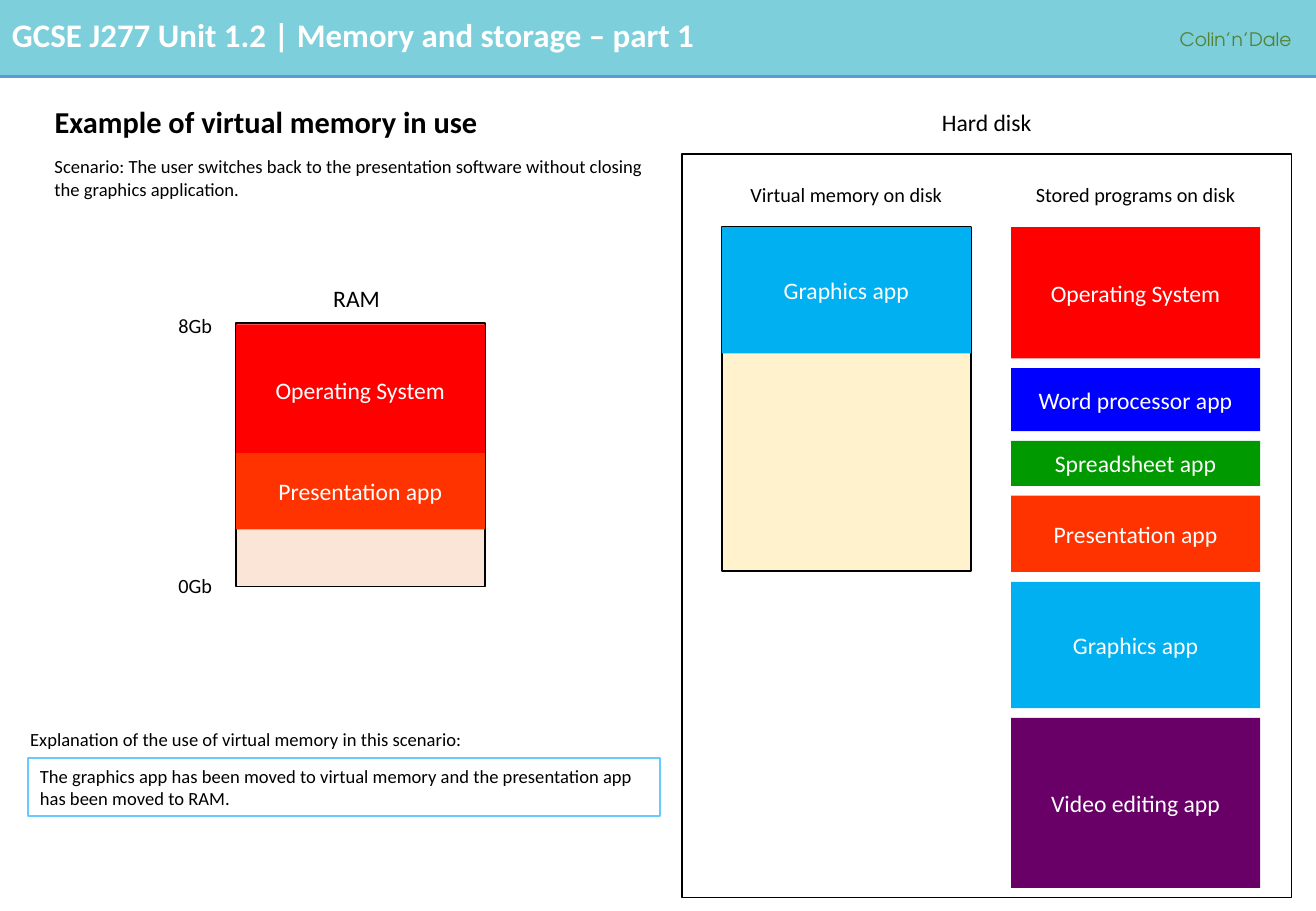
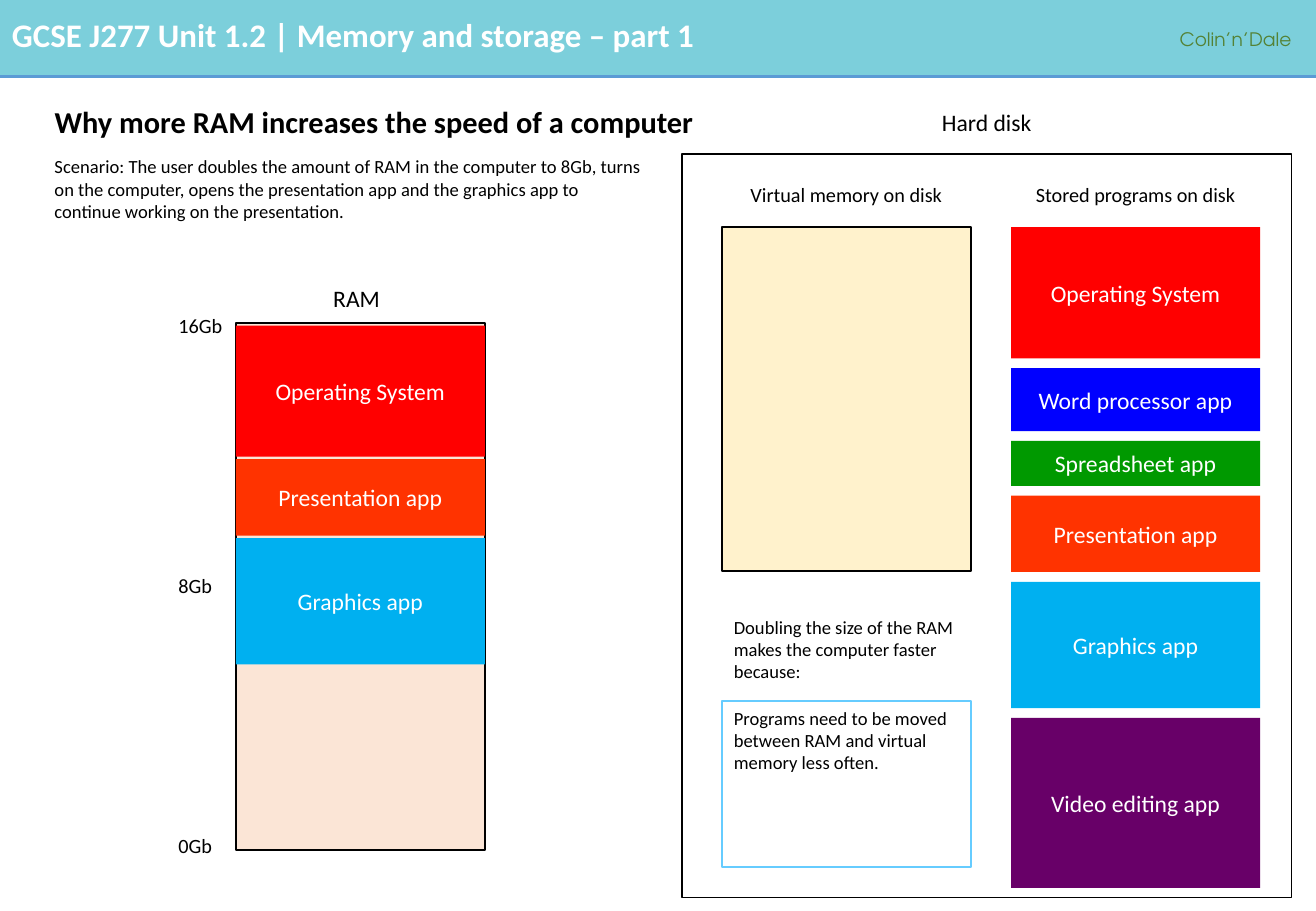
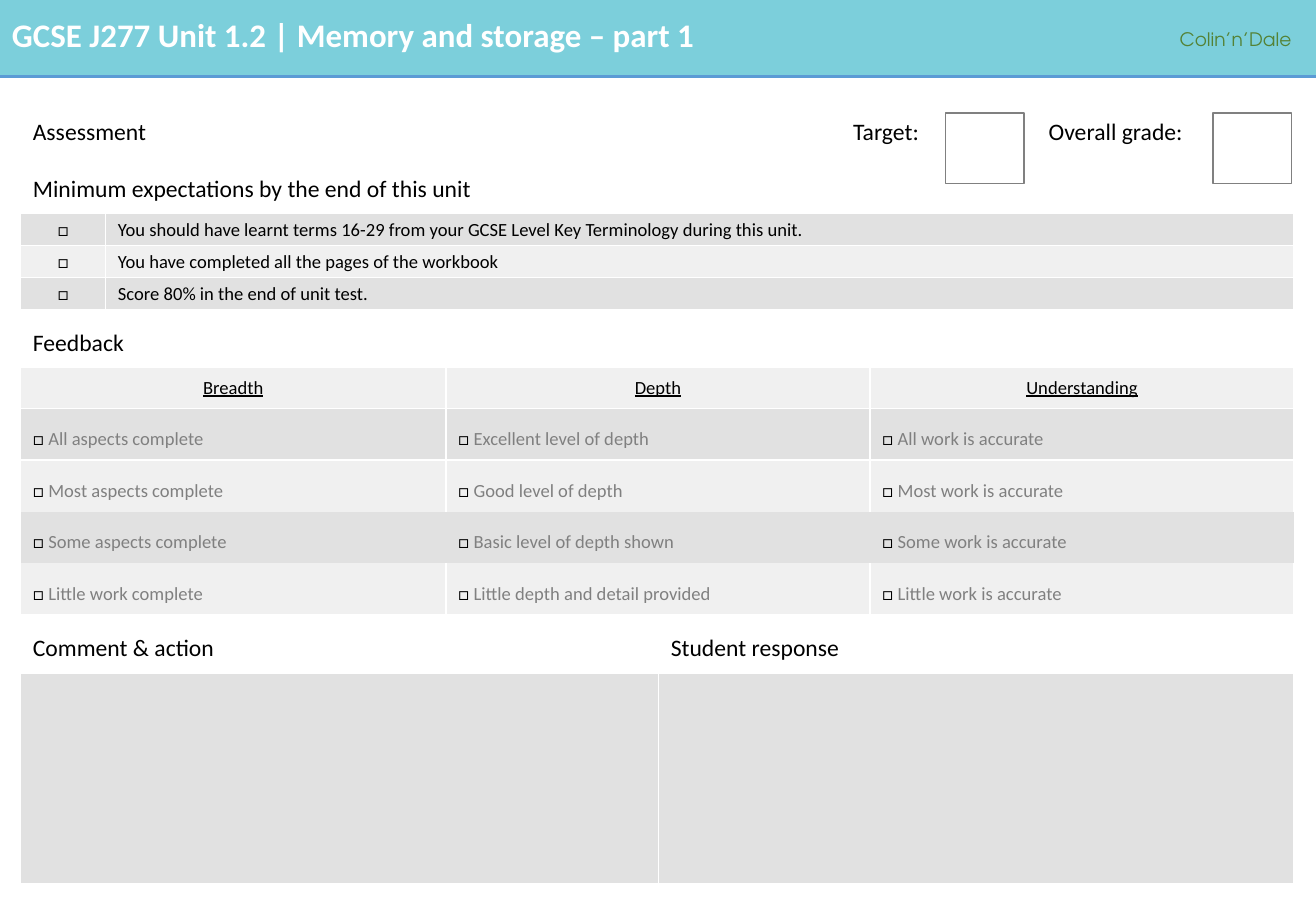
from lxml import etree
from pptx import Presentation
from pptx.dml.color import RGBColor
from pptx.enum.shapes import MSO_CONNECTOR, MSO_SHAPE
from pptx.enum.text import MSO_ANCHOR, MSO_AUTO_SIZE, PP_ALIGN
from pptx.oxml.ns import qn
from pptx.util import Inches, Pt

RECTANGLE = MSO_SHAPE.RECTANGLE
STRAIGHT = MSO_CONNECTOR.STRAIGHT
TOP, MIDDLE = MSO_ANCHOR.TOP, MSO_ANCHOR.MIDDLE
LEFT, CENTER = PP_ALIGN.LEFT, PP_ALIGN.CENTER
NO_FIT = MSO_AUTO_SIZE.NONE

TITLE_ONLY, BLANK = 5, 6
PAGE_WIDTH, PAGE_HEIGHT = 10.83, 7.5
BAND_HEIGHT = 0.63

COLORS = {
    "band": "7CCFDB", "rule": "5B9BD5", "logo": "548235",
    "black": "000000", "white": "FFFFFF", "grey": "808080",
    "ram": "FBE5D6", "virtual": "FFF2CC", "answer": "66CCFF",
    "dark row": "E1E1E1", "light row": "F0F0F0",
}

# Memory diagram grid
COLUMN_WIDTH = 2.05
RAM_LEFT, VIRTUAL_LEFT, STORED_LEFT = 1.94, 5.94, 8.32
DISK_LEFT, DISK_WIDTH = 5.61, 5.02
DISK_COLUMN_TOP = 1.87
RAM_TOP, RAM_UNIT = 2.66, 2.17
LABEL_LEFT, LABEL_TOP, LABEL_STEP = 1.37, 2.53, 2.14

# Application: colour and block height
APPS = {
    "Operating System": ("FF0000", 1.08),
    "Word processor app": ("0000FF", 0.52),
    "Spreadsheet app": ("009900", 0.37),
    "Presentation app": ("FF3300", 0.63),
    "Graphics app": ("00B0F0", 1.04),
    "Video editing app": ("680068", 1.4),
}

HEADER = {"size": Pt(19.5), "name": "Calibri", "bold": True}
TITLE = {"size": Pt(18), "name": "Calibri", "bold": True}
LOGO = {"size": Pt(11), "name": "TeX Gyre Adventor"}
LARGE = {"size": Pt(14), "name": "Calibri"}
MEDIUM = {"size": Pt(12), "name": "Calibri"}
SMALL = {"size": Pt(11), "name": "Calibri"}
UNDERLINED = {**SMALL, "underline": True}

# Assessment table
TABLE_COLUMNS = [0.7, 2.8, 1.75, 1.5, 0.24, 1.37, 2.12]
TABLE_ROWS = [0.47] * 2 + [0.26] * 3 + [0.47, 0.34] + [0.42] * 4 + [0.48, 1.74]
EXPECTATIONS = [
    "You should have learnt terms 16-29 from your GCSE Level Key Terminology during this unit.",
    "You have completed all the pages of the workbook",
    "Score 80% in the end of unit test.",
]
FEEDBACK = [
    ("All aspects complete", "Excellent level of depth", "All work is accurate"),
    ("Most aspects complete", "Good level of depth", "Most work is accurate"),
    ("Some aspects complete", "Basic level of depth shown", "Some work is accurate"),
    ("Little work complete", "Little depth and detail provided", "Little work is accurate"),
]
FEEDBACK_BORDERS = ["LRTB", "LRT", "", "LRB"]
THIRDS = [(0, 2), (2, 3), (5, 2)]
HALVES = [(0, 3), (3, 4)]
HEADING_INSETS, HEAD_ROW_INSETS, LIST_INSETS = (0.16, 0.08), (0.08, 0.08), (0.04, 0.04)


def rgb(color):
    return RGBColor.from_string(COLORS.get(color, color))


def inches(*lengths):
    return [Inches(length) for length in lengths]


def write(frame, spans, style, align=LEFT):
    """Fill the first paragraph with (text, colour) spans."""
    para = frame.paragraphs[0]
    para.alignment = align
    for text, color in spans:
        span = para.add_run()
        span.text = text
        for attribute, value in style.items():
            setattr(span.font, attribute, value)
        span.font.color.rgb = rgb(color)
    return para


def add_text(page, at, text, style, color="black", align=LEFT):
    box = page.shapes.add_textbox(*inches(*at))
    box.text_frame.word_wrap = True
    write(box.text_frame, [(text, color)], style, align)
    return box


def add_box(page, at, fill=None, line=None):
    box = page.shapes.add_shape(RECTANGLE, *inches(*at))
    box.shadow.inherit = False
    if fill:
        box.fill.solid()
        box.fill.fore_color.rgb = rgb(fill)
    else:
        box.fill.background()
    if line:
        box.line.color.rgb = rgb(line)
        box.line.width = Pt(1)
    else:
        box.line.fill.background()
    return box


def add_text_box(page, at, text, style, fill=None, line=None,
                 color="black", align=LEFT, anchor=MIDDLE):
    box = add_box(page, at, fill, line)
    box.text_frame.vertical_anchor = anchor
    write(box.text_frame, [(text, color)], style, align)


def add_stack(page, left, top, names, gap):
    """Pile up application blocks from the top downwards."""
    for name in names:
        fill, height = APPS[name]
        add_text_box(page, (left, top, COLUMN_WIDTH, height), name, LARGE,
                     fill=fill, color="white", align=CENTER)
        top += height + gap


def add_master_band(deck, page):
    """Build the header on a page, then hand it to the slide master."""
    band = add_box(page, (0, 0, PAGE_WIDTH, BAND_HEIGHT), "band")
    rule = page.shapes.add_connector(
        STRAIGHT, *inches(0, BAND_HEIGHT, PAGE_WIDTH, BAND_HEIGHT))
    rule.line.color.rgb = rgb("rule")
    rule.line.width = Pt(2.25)
    etree.SubElement(rule.element.spPr, qn("a:effectLst"))
    header = add_text(page, (0, 0.07, 9.48, 0.43),
                      "GCSE J277 Unit 1.2 | Memory and storage – part 1", HEADER, "white")
    logo = add_text(page, (9.61, 0.17, 1.22, 0.29), "Colin’n’Dale", LOGO, "logo")
    logo.text_frame.paragraphs[0].line_spacing = 1.07
    for number, shape in enumerate((band, rule, header, logo), start=20):
        shape.element[0][0].set("id", str(number))
        deck.slide_master.shapes.element.append(shape.element)


def format_title(page, text):
    title = page.shapes.title
    title.left, title.top, title.width, title.height = inches(0.35, 0.83, 10.1, 0.56)
    title.text_frame.auto_size = NO_FIT
    title.text_frame.vertical_anchor = TOP
    write(title.text_frame, [(text, "black")], TITLE).line_spacing = 0.9


def add_memory_page(deck, title, scenario, ram_labels):
    """Add a page with empty RAM, empty virtual memory and the stored programs."""
    page = deck.slides.add_slide(deck.slide_layouts[TITLE_ONLY])
    format_title(page, title)
    add_text(page, (0.35, 1.23, 5.08, 0.66), scenario, SMALL)

    ram_height = RAM_UNIT * (len(ram_labels) - 1)
    add_box(page, (RAM_LEFT, RAM_TOP, COLUMN_WIDTH, ram_height), "ram", "black")
    add_text(page, (1.91, 2.29, COLUMN_WIDTH, 0.34), "RAM", LARGE, align=CENTER)
    for step, label in enumerate(ram_labels):
        add_text(page, (LABEL_LEFT, LABEL_TOP + step * LABEL_STEP, 0.57, 0.3), label, MEDIUM)

    add_box(page, (DISK_LEFT, 1.27, DISK_WIDTH, 6.12), line="black")
    add_text(page, (DISK_LEFT, 0.84, DISK_WIDTH, 0.34), "Hard disk", LARGE, align=CENTER)
    for left, label in ((VIRTUAL_LEFT, "Virtual memory on disk"),
                        (STORED_LEFT, "Stored programs on disk")):
        add_text(page, (left, 1.45, COLUMN_WIDTH, 0.3), label, MEDIUM, align=CENTER)
    add_box(page, (VIRTUAL_LEFT, DISK_COLUMN_TOP, COLUMN_WIDTH, 2.83), "virtual", "black")
    add_stack(page, STORED_LEFT, DISK_COLUMN_TOP, APPS, 0.08)
    return page


def set_borders(cell, sides):
    """Draw white borders on the named sides and none on the others."""
    properties = cell._tc.get_or_add_tcPr()
    for position, side in enumerate("LRTB"):
        line = etree.Element(qn(f"a:ln{side}"), w=str(Pt(1)))
        if side in sides:
            fill = etree.SubElement(line, qn("a:solidFill"))
            etree.SubElement(fill, qn("a:srgbClr"), val=COLORS["white"])
        else:
            etree.SubElement(line, qn("a:noFill"))
        properties.insert(position, line)


def fill_cell(table, row, start, spans=(), style=LARGE, width=1, fill="white",
              insets=HEADING_INSETS, align=LEFT, anchor=TOP, borders="LRTB"):
    """Merge width columns from start, then format and fill them."""
    for column in range(start, start + width):
        part = table.cell(row, column)
        part.fill.solid()
        part.fill.fore_color.rgb = rgb(fill)
        set_borders(part, borders)
    cell = table.cell(row, start)
    if width > 1:
        cell.merge(table.cell(row, start + width - 1))
    cell.margin_left = cell.margin_right = Inches(0.1)
    cell.margin_top, cell.margin_bottom = inches(*insets)
    cell.vertical_anchor = anchor
    write(cell.text_frame, spans, style, align)


def add_assessment_table(page):
    frame = page.shapes.add_table(
        len(TABLE_ROWS), len(TABLE_COLUMNS),
        *inches(0.17, 0.81, sum(TABLE_COLUMNS), sum(TABLE_ROWS)))
    table = frame.table
    table.first_row = table.horz_banding = False
    for column, width in zip(table.columns, TABLE_COLUMNS):
        column.width = Inches(width)
    for row, height in zip(table.rows, TABLE_ROWS):
        row.height = Inches(height)

    for start, width, text in ((0, 4, "Assessment"), (4, 2, "Target:"), (6, 1, "Overall grade:")):
        fill_cell(table, 0, start, [(text, "black")], width=width, anchor=MIDDLE)
    for row, text in ((1, "Minimum expectations by the end of this unit"), (5, "Feedback")):
        fill_cell(table, row, 0, [(text, "black")], width=len(TABLE_COLUMNS))

    stripes = ["dark row", "light row"] * 2
    for row, (text, fill) in enumerate(zip(EXPECTATIONS, stripes), start=2):
        shared = {"style": SMALL, "fill": fill, "insets": LIST_INSETS}
        fill_cell(table, row, 0, [("□", "black")], align=CENTER, **shared)
        fill_cell(table, row, 1, [(text, "black")], width=6, **shared)

    for (start, width), text in zip(THIRDS, ("Breadth", "Depth", "Understanding")):
        fill_cell(table, 6, start, [(text, "black")], UNDERLINED, width, "light row",
                  HEAD_ROW_INSETS, CENTER)
    for row, (texts, fill, borders) in enumerate(
            zip(FEEDBACK, stripes, FEEDBACK_BORDERS), start=7):
        for (start, width), text in zip(THIRDS, texts):
            fill_cell(table, row, start, [("□ ", "black"), (text, "grey")], SMALL,
                      width, fill, borders=borders)

    for (start, width), text in zip(HALVES, ("Comment & action", "Student response")):
        fill_cell(table, 11, start, [(text, "black")], width=width)
        fill_cell(table, 12, start, width=width, fill="dark row")


def main():
    deck = Presentation()
    deck.slide_width, deck.slide_height = inches(PAGE_WIDTH, PAGE_HEIGHT)

    page = add_memory_page(
        deck, "Example of virtual memory in use",
        "Scenario: The user switches back to the presentation software without closing "
        "the graphics application.", ["8Gb", "0Gb"])
    add_master_band(deck, page)
    add_stack(page, RAM_LEFT, 2.67, ["Operating System", "Presentation app"], -0.02)
    add_stack(page, VIRTUAL_LEFT, DISK_COLUMN_TOP, ["Graphics app"], 0)
    add_text(page, (0.15, 5.94, 5.2, 0.29),
             "Explanation of the use of virtual memory in this scenario:", SMALL)
    add_text_box(page, (0.23, 6.24, 5.2, 0.48),
                 "The graphics app has been moved to virtual memory and the presentation app "
                 "has been moved to RAM.", SMALL, line="answer")

    page = add_memory_page(
        deck, "Why more RAM increases the speed of a computer",
        "Scenario: The user doubles the amount of RAM in the computer to 8Gb, turns on the "
        "computer, opens the presentation app and the graphics app to continue working on "
        "the presentation.", ["16Gb", "8Gb", "0Gb"])
    add_stack(page, RAM_LEFT, 2.68,
              ["Operating System", "Presentation app", "Graphics app"], 0.02)
    add_text(page, (VIRTUAL_LEFT, 5.02, COLUMN_WIDTH, 0.66),
             "Doubling the size of the RAM makes the computer faster because:", SMALL)
    add_text_box(page, (VIRTUAL_LEFT, 5.77, COLUMN_WIDTH, 1.37),
                 "Programs need to be moved between RAM and virtual memory less often.",
                 SMALL, line="answer", anchor=TOP)

    page = deck.slides.add_slide(deck.slide_layouts[BLANK])
    add_assessment_table(page)
    for left in (7.78, 9.98):
        add_box(page, (left, 0.93, 0.65, 0.58), "white", "grey")

    deck.save("out.pptx")


if __name__ == "__main__":
    main()
